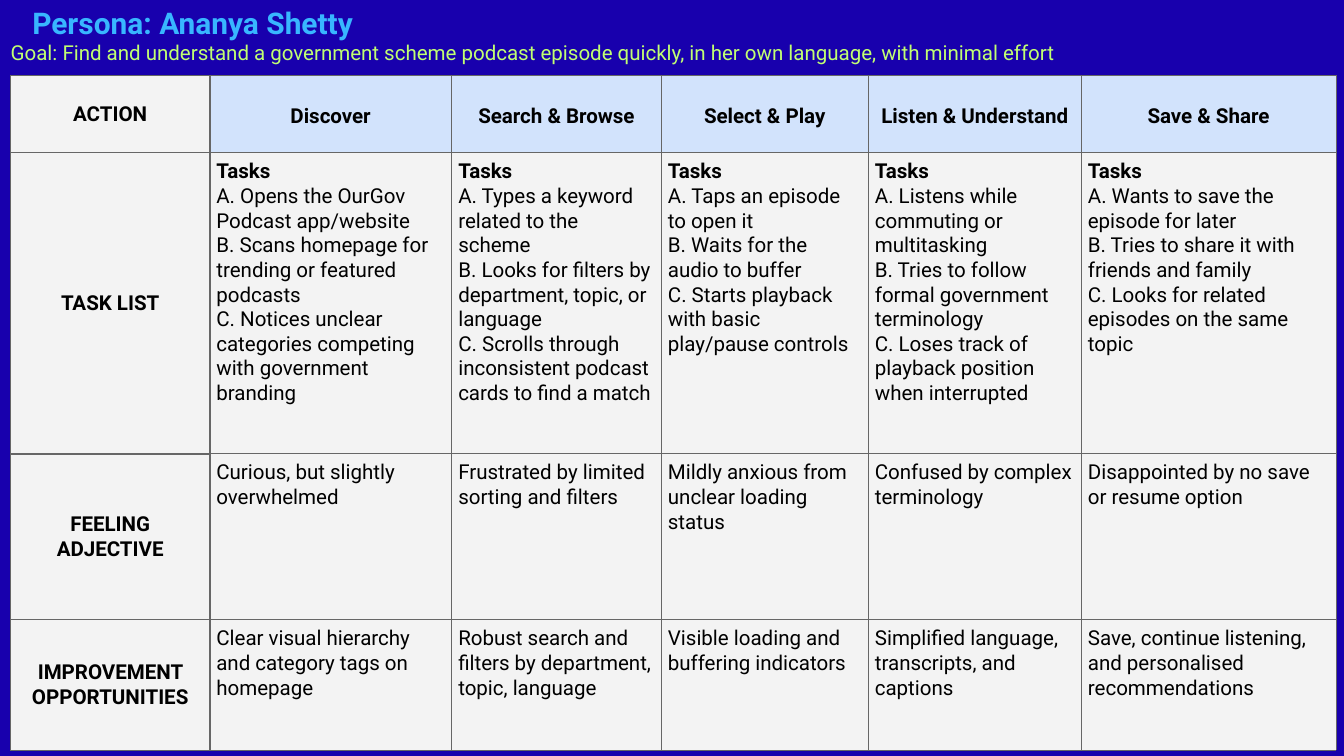
from dataclasses import dataclass

from lxml.etree import fromstring
from pptx import Presentation
from pptx.dml.color import RGBColor
from pptx.enum.text import MSO_ANCHOR, PP_ALIGN
from pptx.oxml.ns import nsdecls
from pptx.util import Emu, Pt

TITLE = "Persona: Ananya Shetty"
GOAL = ("Goal: Find and understand a government scheme podcast episode quickly, "
        "in her own language, with minimal effort")
JOURNEY = [
    ["ACTION", "Discover", "Search & Browse", "Select & Play",
     "Listen & Understand", "Save & Share"],
    ["TASK LIST",
     ["A. Opens the OurGov Podcast app/website",
      "B. Scans homepage for trending or featured podcasts",
      "C. Notices unclear categories competing with government branding"],
     ["A. Types a keyword related to the scheme",
      "B. Looks for filters by department, topic, or language",
      "C. Scrolls through inconsistent podcast cards to find a match"],
     ["A. Taps an episode to open it",
      "B. Waits for the audio to buffer",
      "C. Starts playback with basic play/pause controls"],
     ["A. Listens while commuting or multitasking",
      "B. Tries to follow formal government terminology",
      "C. Loses track of playback position when interrupted"],
     ["A. Wants to save the episode for later",
      "B. Tries to share it with friends and family",
      "C. Looks for related episodes on the same topic"]],
    ["FEELING ADJECTIVE",
     "Curious, but slightly overwhelmed",
     "Frustrated by limited sorting and filters",
     "Mildly anxious from unclear loading status",
     "Confused by complex terminology",
     "Disappointed by no save or resume option"],
    ["IMPROVEMENT OPPORTUNITIES",
     "Clear visual hierarchy and category tags on homepage",
     "Robust search and filters by department, topic, language",
     "Visible loading and buffering indicators",
     "Simplified language, transcripts, and captions",
     "Save, continue listening, and personalised recommendations"],
]
COLUMN_WIDTHS = [296, 360, 312, 308, 317, 379]
ROW_HEIGHTS = [115, 448, 247, 194]
SLIDE_SIZE = (2000, 1125)
TITLE_BOX = (48, 7, 680, 44)
GOAL_BOX = (16, 60, 1836, 41)
TABLE_ORIGIN = (16, 112)
CELL_PADDING = 10


@dataclass(frozen=True)
class Theme:
    font: str = "Roboto"
    background: str = "1800AD"
    title: str = "38B6FF"
    goal: str = "C1FF72"
    text: str = "000000"
    cell: str = "F3F3F3"
    stage: str = "D2E3FC"
    border: str = "666666"
    title_size: float = 32
    body_size: float = 22
    title_leading: float = 38.4
    body_leading: float = 26.4
    stage_leading: float = 30.4
    thin: float = 0.75
    thick: float = 2.25


THEME = Theme()


def px(n):
    return Emu(n * 9144)


def format_paragraph(p, size, color, leading, bold=False, align=PP_ALIGN.LEFT):
    p.alignment = align
    p.line_spacing = Pt(leading)
    p.space_before = Pt(0)
    for r in p.runs:
        r.font.name = THEME.font
        r.font.size = Pt(size)
        r.font.bold = bold
        r.font.color.rgb = RGBColor.from_string(color)


def set_heading(sp, box, text, size, color, leading, bold=False):
    sp.left, sp.top, sp.width, sp.height = map(px, box)
    tf = sp.text_frame
    tf.text = text
    tf.word_wrap = True
    tf.vertical_anchor = MSO_ANCHOR.TOP
    tf.margin_left = tf.margin_right = tf.margin_top = tf.margin_bottom = 0
    format_paragraph(tf.paragraphs[0], size, color, leading, bold)


def set_borders(cell, row, col):
    def column_edge(edge):
        return THEME.thick if edge == 1 else THEME.thin

    def row_edge(edge):
        inner = 0 < edge < len(JOURNEY)
        return THEME.thick if inner and (col == 0 or edge == 1) else THEME.thin

    widths = {"lnL": column_edge(col), "lnR": column_edge(col + 1),
              "lnT": row_edge(row), "lnB": row_edge(row + 1)}
    tc_pr = cell._tc.get_or_add_tcPr()
    for i, (tag, width) in enumerate(widths.items()):
        tc_pr.insert(i, fromstring(
            f'<a:{tag} {nsdecls("a")} w="{Pt(width)}"><a:solidFill>'
            f'<a:srgbClr val="{THEME.border}"/></a:solidFill></a:{tag}>'))


def fill_cell(cell, content, row, col):
    is_stage = row == 0 and col > 0
    is_label = row == 0 or col == 0
    is_tasks = isinstance(content, list)
    cell.text = "\n".join(["Tasks", *content]) if is_tasks else content
    cell.vertical_anchor = MSO_ANCHOR.MIDDLE if is_label else MSO_ANCHOR.TOP
    cell.margin_left = cell.margin_right = px(CELL_PADDING)
    cell.margin_top = cell.margin_bottom = px(CELL_PADDING)
    cell.fill.solid()
    cell.fill.fore_color.rgb = RGBColor.from_string(
        THEME.stage if is_stage else THEME.cell)
    for i, p in enumerate(cell.text_frame.paragraphs):
        format_paragraph(
            p, THEME.body_size, THEME.text,
            THEME.stage_leading if is_stage else THEME.body_leading,
            bold=is_label or (is_tasks and i == 0),
            align=PP_ALIGN.CENTER if is_label else PP_ALIGN.LEFT)
    set_borders(cell, row, col)


def add_journey(s):
    table = s.shapes.add_table(
        len(JOURNEY), len(COLUMN_WIDTHS), *map(px, TABLE_ORIGIN),
        px(sum(COLUMN_WIDTHS)), px(sum(ROW_HEIGHTS))).table
    table.first_row = table.horz_banding = False
    for column, width in zip(table.columns, COLUMN_WIDTHS):
        column.width = px(width)
    for table_row, height in zip(table.rows, ROW_HEIGHTS):
        table_row.height = px(height)
    for row, contents in enumerate(JOURNEY):
        for col, content in enumerate(contents):
            fill_cell(table.cell(row, col), content, row, col)


def main():
    prs = Presentation()
    prs.slide_width, prs.slide_height = map(px, SLIDE_SIZE)
    s = prs.slides.add_slide(prs.slide_layouts.get_by_name("Title Only"))
    s.background.fill.solid()
    s.background.fill.fore_color.rgb = RGBColor.from_string(THEME.background)
    set_heading(s.shapes.title, TITLE_BOX, TITLE, THEME.title_size,
                THEME.title, THEME.title_leading, bold=True)
    set_heading(s.shapes.add_textbox(0, 0, 0, 0), GOAL_BOX, GOAL,
                THEME.body_size, THEME.goal, THEME.body_leading)
    add_journey(s)
    prs.save("out.pptx")


if __name__ == "__main__":
    main()
